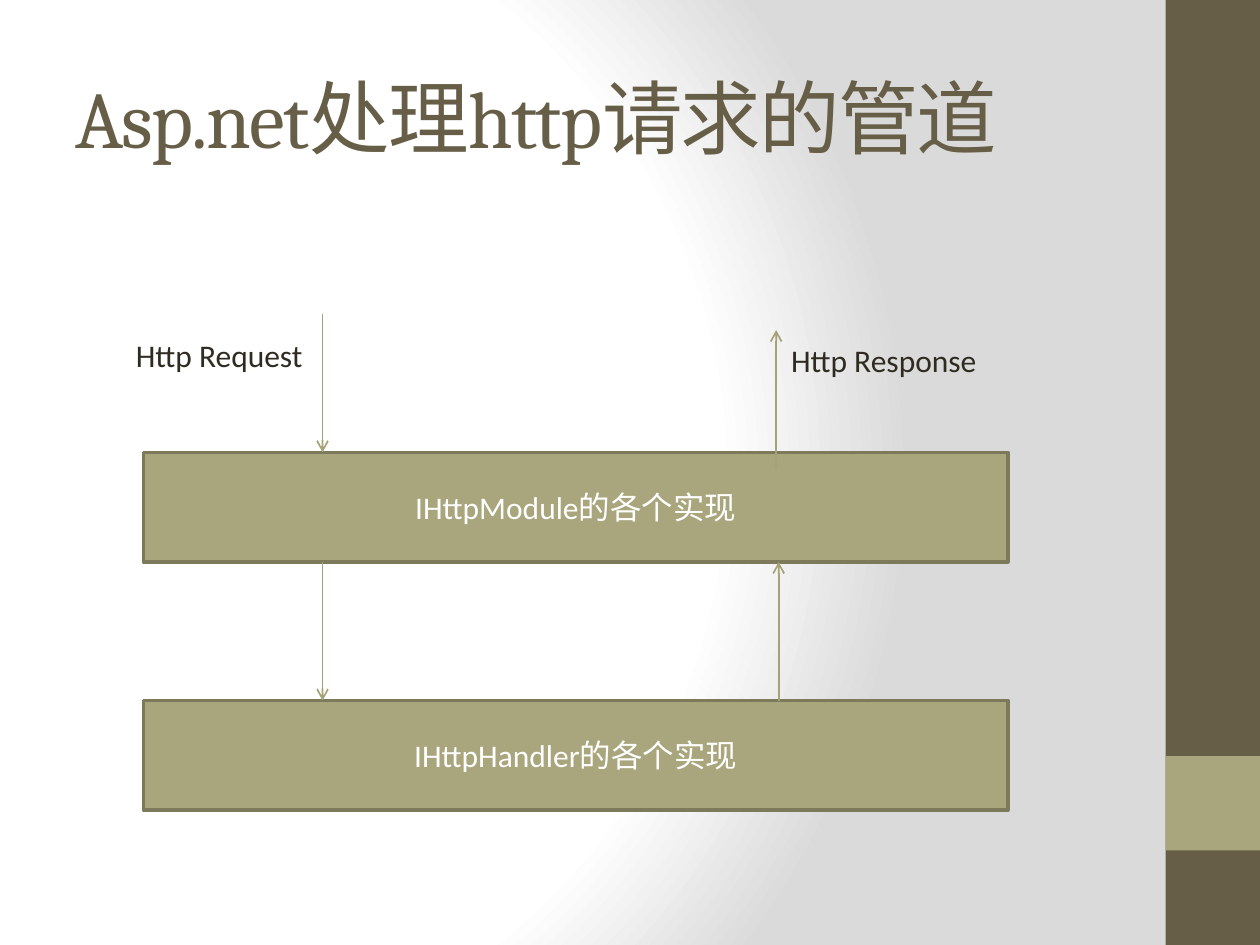
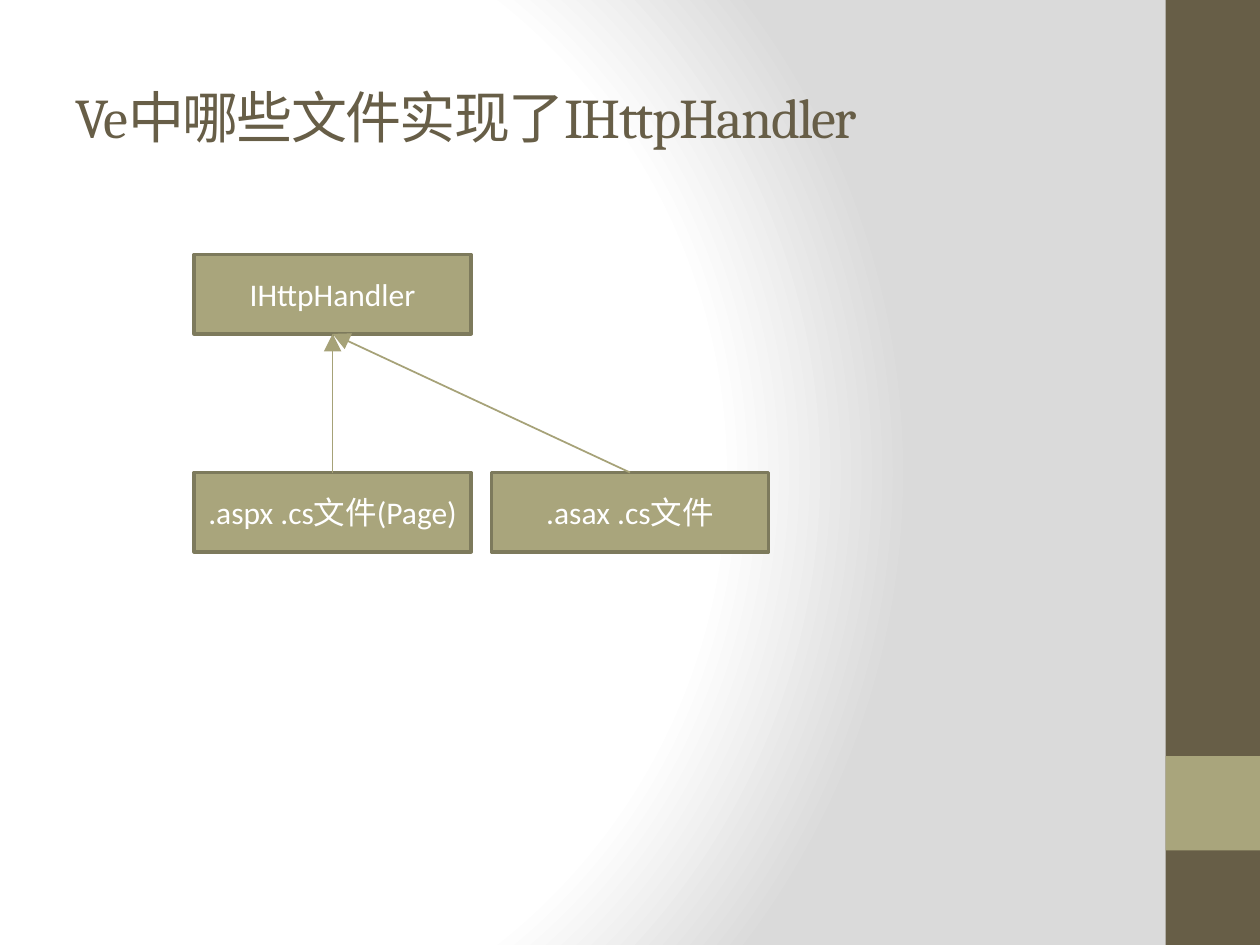
from pptx import Presentation
from pptx.dml.color import RGBColor
from pptx.enum.shapes import MSO_CONNECTOR, MSO_SHAPE
from pptx.enum.text import MSO_ANCHOR, MSO_AUTO_SIZE, PP_ALIGN
from pptx.oxml import parse_xml
from pptx.oxml.ns import nsdecls, qn
from pptx.util import Inches, Pt
from lxml.etree import SubElement

COLORS = {
    "white": "FFFFFF",
    "shade": "DADADA",
    "brown": "675E47",
    "olive": "A9A57C",
    "border": "7D7A5C",
    "arrow": "A6A278",
    "text": "2F2B20",
}
RGB = {name: RGBColor.from_string(value) for name, value in COLORS.items()}


def add_box(s, x, y, w, h, fill, text=None):
    sp = s.shapes.add_shape(MSO_SHAPE.RECTANGLE, Inches(x), Inches(y), Inches(w), Inches(h))
    sp.shadow.inherit = False
    sp.fill.solid()
    sp.fill.fore_color.rgb = RGB[fill]
    if text is None:
        sp.line.fill.background()
        return
    sp.line.color.rgb = RGB["border"]
    sp.line.width = Pt(2)
    tf = sp.text_frame
    tf.word_wrap = True
    tf.vertical_anchor = MSO_ANCHOR.MIDDLE
    p = tf.paragraphs[0]
    p.text = text
    p.alignment = PP_ALIGN.CENTER
    p.font.name = "Calibri"
    p.font.size = Pt(18)
    p.font.color.rgb = RGB["white"]


def add_arrow(s, x1, y1, x2, y2, head, size):
    line = s.shapes.add_connector(
        MSO_CONNECTOR.STRAIGHT, Inches(x1), Inches(y1), Inches(x2), Inches(y2))
    line.line.color.rgb = RGB["arrow"]
    line.line.width = Pt(1)
    SubElement(line.line._get_or_add_ln(), qn("a:tailEnd"), type=head, w=size, len=size)
    SubElement(line._element.spPr, qn("a:effectLst"))


prs = Presentation()
prs.slide_width = Inches(10)
prs.slide_height = Inches(7.5)

master = prs.slide_master
master.background.fill.solid()
bg = master.element.find(".//" + qn("p:bgPr"))
stops = "".join(
    f'<a:gs pos="{pos * 1000}"><a:srgbClr val="{COLORS[color]}"/></a:gs>'
    for pos, color in [(0, "white"), (75, "white"), (100, "shade")])
bg.replace(bg[0], parse_xml(
    f'<a:gradFill {nsdecls("a")} rotWithShape="1"><a:gsLst>{stops}</a:gsLst>'
    '<a:path path="circle"><a:fillToRect l="20000" t="50000" r="100000" b="50000"/>'
    '</a:path></a:gradFill>'))

slides = []
for title, size in [("Asp.net处理http请求的管道", 46), ("Ve中哪些文件实现了IHttpHandler", 32)]:
    s = prs.slides.add_slide(prs.slide_layouts[6])
    slides.append(s)
    add_box(s, 9.25, 0, 0.75, 7.5, "brown")
    add_box(s, 9.25, 6, 0.75, 0.75, "olive")
    tf = s.shapes.add_textbox(Inches(0.5), Inches(0.3), Inches(8.33), Inches(1.25)).text_frame
    tf.word_wrap = True
    tf.vertical_anchor = MSO_ANCHOR.MIDDLE
    p = tf.paragraphs[0]
    r = p.add_run()
    r.text = title
    r.font._element.set("spc", "-100")
    p.font.name = "Cambria"
    p.font.size = Pt(size)
    p.font.color.rgb = RGB["brown"]

pipeline, files = slides

for y, text in [(3.59, "IHttpModule的各个实现"), (5.56, "IHttpHandler的各个实现")]:
    add_box(pipeline, 1.14, y, 6.86, 0.87, "olive", text)
for x, start, end in [(2.56, 2.49, 3.59), (2.56, 4.46, 5.56), (6.18, 5.56, 4.46), (6.16, 3.72, 2.62)]:
    add_arrow(pipeline, x, start, x, end, "arrow", "med")
for x, y, w, text in [(0.98, 2.62, 1.55, "Http Request"), (6.18, 2.66, 1.7, "Http Response")]:
    tf = pipeline.shapes.add_textbox(Inches(x), Inches(y), Inches(w), Inches(0.4)).text_frame
    tf.word_wrap = False
    tf.auto_size = MSO_AUTO_SIZE.SHAPE_TO_FIT_TEXT
    p = tf.paragraphs[0]
    p.text = text
    p.font.name = "Calibri"
    p.font.size = Pt(18)
    p.font.color.rgb = RGB["text"]

box_w, box_h = 2.2, 0.63
left, top, child_top = 1.54, 2.02, 3.75
parent_x = left + box_w / 2
children = [(left, ".aspx .cs文件(Page)"), (3.9, ".asax .cs文件")]
add_box(files, left, top, box_w, box_h, "olive", "IHttpHandler")
for x, text in children:
    add_box(files, x, child_top, box_w, box_h, "olive", text)
for x, text in children:
    add_arrow(files, x + box_w / 2, child_top, parent_x, top + box_h, "triangle", "lg")

prs.save("out.pptx")
